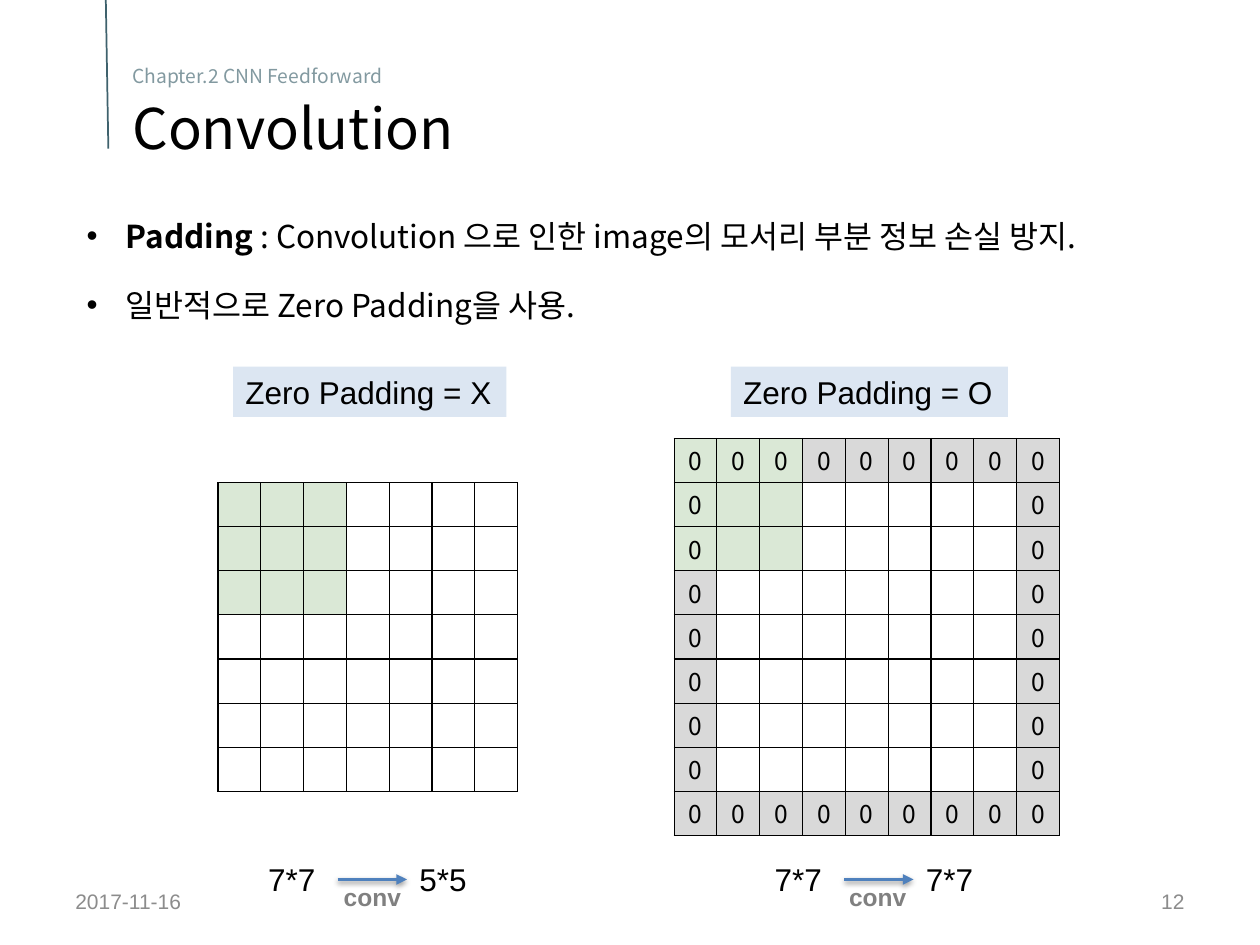
import pptx
import pptx.util
import pptx.dml.color
import pptx.enum.text
import pptx.enum.shapes
import pptx.oxml
import pptx.oxml.ns
from lxml import etree

Inches, Pt = pptx.util.Inches, pptx.util.Pt
ALIGN = pptx.enum.text.PP_ALIGN
ANCHOR = pptx.enum.text.MSO_ANCHOR
FIT = pptx.enum.text.MSO_AUTO_SIZE
LINE = pptx.enum.shapes.MSO_CONNECTOR.STRAIGHT
RECT = pptx.enum.shapes.MSO_SHAPE.RECTANGLE
qn = pptx.oxml.ns.qn
NOTO, ARIAL = "Noto Sans CJK KR", "Arial"
BLACK, GRAY, GREEN, TEAL = "000000", "8C8C8C", "DAE8D6", "3F626D"

# Content
CHAPTER, TITLE = "Chapter.2 CNN Feedforward", "Convolution"
BULLETS = [
    [("Padding ", True), (": Convolution 으로 인한 image의 모서리 부분 정보 손실 방지.", False)],
    [("일반적으로 Zero Padding을 사용.", False)],
]
FOOTER = [("2017-11-16", 0.5, ALIGN.LEFT), ("12", 7.17, ALIGN.RIGHT)]
PANELS = [
    dict(head="Zero Padding = X", hx=1.85, hw=2.17, x=1.73, y=3.83, n=7,
         pad=False, fx=2.03, size=("7*7", "5*5"), cx=2.63),
    dict(head="Zero Padding = O", hx=5.8, hw=2.2, x=5.35, y=3.48, n=9,
         pad=True, fx=6.05, size=("7*7", "7*7"), cx=6.64),
]
KERNEL = 3
COL, ROW = 0.34, 0.35

prs = pptx.Presentation()
prs.slide_width, prs.slide_height = Inches(10), Inches(7.5)
slide = prs.slides.add_slide(prs.slide_layouts[5])
shapes = slide.shapes


def rgb(code):
    return pptx.dml.color.RGBColor.from_string(code)


def add_run(par, text, size, font=ARIAL, color=BLACK, bold=False):
    run = par.add_run()
    run.text = text
    run.font.size, run.font.name, run.font.bold = Pt(size), font, bold
    run.font.color.rgb = rgb(color)
    if font == NOTO:
        etree.SubElement(run._r.get_or_add_rPr(), qn("a:ea"), typeface=font)


def add_text(x, y, w, h, text, size, color=BLACK, bold=False, wrap=False,
             align=ALIGN.LEFT, anchor=ANCHOR.TOP):
    box = shapes.add_textbox(Inches(x), Inches(y), Inches(w), Inches(h))
    frame = box.text_frame
    frame.word_wrap, frame.vertical_anchor = wrap, anchor
    frame.paragraphs[0].alignment = align
    add_run(frame.paragraphs[0], text, size, ARIAL, color, bold)
    return box


def add_rect(x, y, w, h, color):
    rect = shapes.add_shape(RECT, Inches(x), Inches(y), Inches(w), Inches(h))
    rect.shadow.inherit = False
    rect.fill.solid()
    rect.fill.fore_color.rgb = rgb(color)
    rect.line.fill.background()
    return rect


def add_line(x1, y1, x2, y2, color, width):
    line = shapes.add_connector(LINE, Inches(x1), Inches(y1), Inches(x2), Inches(y2))
    line.line.color.rgb, line.line.width = rgb(color), Pt(width)
    return line, line._element.spPr


def add_border(cell):
    props = cell._tc.get_or_add_tcPr()
    for side in ("lnL", "lnR", "lnT", "lnB"):
        edge = etree.SubElement(props, qn("a:" + side), w=str(Pt(0.75)))
        fill = etree.SubElement(edge, qn("a:solidFill"))
        etree.SubElement(fill, qn("a:srgbClr"), val=BLACK)


def add_grid(x, y, n, pad):
    add_rect(x, y, KERNEL * COL, KERNEL * ROW, GREEN)
    table = shapes.add_table(n, n, Inches(x), Inches(y), Inches(n * COL), Inches(n * ROW)).table
    table.first_row = table.horz_banding = False
    for col in table.columns:
        col.width = Inches(COL)
    for i, row in enumerate(table.rows):
        row.height = Inches(ROW)
        for j, cell in enumerate(row.cells):
            add_border(cell)
            cell.fill.background()
            cell.margin_top = cell.margin_bottom = 0
            if not pad or not {i, j} & {0, n - 1}:
                continue
            # Zero cells form the outer ring
            cell.margin_top = cell.margin_bottom = Inches(0.03)
            par = cell.text_frame.paragraphs[0]
            par.alignment = ALIGN.CENTER
            add_run(par, "0", 14, NOTO)
            if max(i, j) >= KERNEL:
                cell.fill.solid()
                cell.fill.fore_color.rgb = rgb("D9D9D9")


def add_arrow(start, end):
    x = (start.left + start.width) / Inches(1)
    arrow, props = add_line(x, 6.98, end.left / Inches(1), 6.98, "4F81BD", 2)
    arrow.begin_connect(start, 3)
    arrow.end_connect(end, 1)
    etree.SubElement(props.find(qn("a:ln")), qn("a:tailEnd"), type="triangle")
    glow = etree.SubElement(etree.SubElement(props, qn("a:effectLst")), qn("a:outerShdw"),
                            blurRad=str(Pt(3.1)), dist=str(Pt(1.6)), dir="5400000", rotWithShape="0")
    shade = etree.SubElement(glow, qn("a:srgbClr"), val=BLACK)
    etree.SubElement(shade, qn("a:alpha"), val="38000")


# Title and accent line
title = shapes.title
title.left, title.top, title.width, title.height = Inches(0.95), 0, Inches(9), Inches(1.77)
frame = title.text_frame
frame.auto_size, frame.vertical_anchor = FIT.NONE, ANCHOR.MIDDLE
par = frame.paragraphs[0]
par.alignment, par.line_spacing = ALIGN.LEFT, 1.1
add_run(par, CHAPTER, 11, NOTO, "8299A0")
par.add_line_break()
etree.SubElement(par._p[-1], qn("a:rPr"), sz="1100")
add_run(par, TITLE, 32, NOTO)
accent, props = add_line(0.84, 0, 0.86, 1.18, TEAL, 1)
etree.SubElement(props, qn("a:effectLst"))

# Bullets
frame = shapes.add_textbox(Inches(0.59), Inches(1.67), Inches(9.13), Inches(1.01)).text_frame
frame.word_wrap = True
for i, parts in enumerate(BULLETS):
    par = frame.add_paragraph() if i else frame.paragraphs[0]
    if i:
        par.space_before = Pt(18)
    props = par._p.get_or_add_pPr()
    props.set("marL", str(Inches(0.31)))
    props.set("indent", str(-Inches(0.31)))
    etree.SubElement(props, qn("a:buFont"), typeface=ARIAL)
    etree.SubElement(props, qn("a:buChar"), char="•")
    for text, bold in parts:
        add_run(par, text, 18, NOTO, bold=bold)

# Panels: heading, grid, size change
for p in PANELS:
    head = add_rect(p["hx"], 2.91, p["hw"], 0.4, "DCE6F2").text_frame
    head.word_wrap, head.vertical_anchor = False, ANCHOR.TOP
    head.paragraphs[0].alignment = ALIGN.LEFT
    add_run(head.paragraphs[0], p["head"], 18)
    add_grid(p["x"], p["y"], p["n"], p["pad"])
    ends = [add_text(p["fx"] + 1.2 * k, 6.78, 0.65, 0.4, text, 18)
            for k, text in enumerate(p["size"])]
    add_arrow(*ends)
    add_text(p["cx"], 6.95, 0.66, 0.34, "conv", 14, "808080", bold=True)

# Footer
for text, x, align in FOOTER:
    add_text(x, 6.95, 2.33, 0.4, text, 12, GRAY, wrap=True, align=align, anchor=ANCHOR.MIDDLE)

prs.save("out.pptx")
